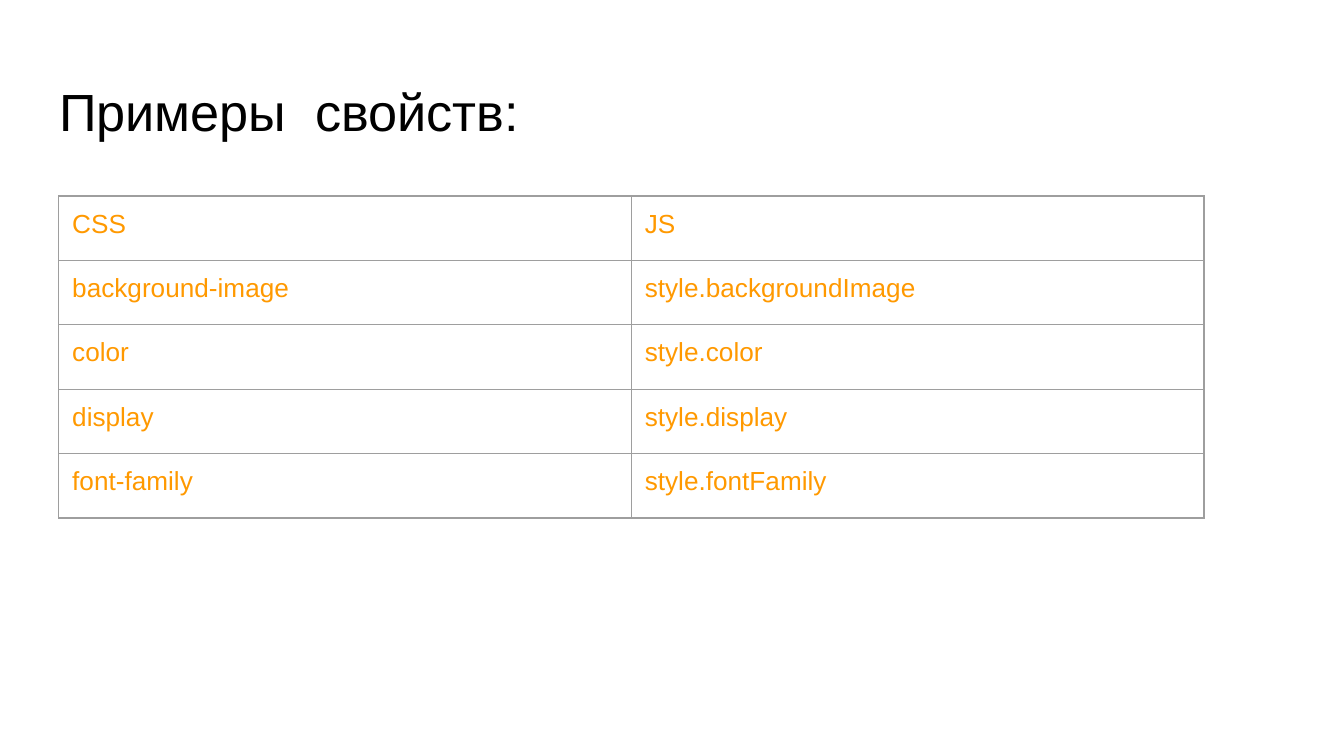
from dataclasses import dataclass

from lxml.etree import SubElement
from pptx import Presentation
from pptx.dml.color import RGBColor
from pptx.enum.text import MSO_ANCHOR, MSO_AUTO_SIZE, PP_ALIGN
from pptx.oxml.ns import qn
from pptx.util import Pt


@dataclass(frozen=True)
class Theme:
    font: str = "Arial"
    title_color: str = "000000"
    cell_color: str = "FF9900"
    border_color: str = "9E9E9E"
    title_size: float = 28
    cell_size: float = 14
    border_width: float = 0.75
    inset: float = 7.2


theme = Theme()


def format_text(paragraph, size, color):
    paragraph.alignment = PP_ALIGN.LEFT
    for run in paragraph.runs:
        run.font.name = theme.font
        run.font.size = Pt(size)
        run.font.color.rgb = RGBColor.from_string(color)


def add_borders(cell):
    properties = cell._tc.get_or_add_tcPr()
    for side in ("a:lnL", "a:lnR", "a:lnT", "a:lnB"):
        line = SubElement(properties, qn(side), w=str(Pt(theme.border_width)))
        fill = SubElement(line, qn("a:solidFill"))
        SubElement(fill, qn("a:srgbClr"), val=theme.border_color)


presentation = Presentation()
presentation.slide_width = Pt(720)
presentation.slide_height = Pt(405)
slide = presentation.slides.add_slide(presentation.slide_layouts[5])

# Title
title = slide.shapes.title
title.left, title.top, title.width, title.height = Pt(24.5), Pt(35), Pt(671), Pt(45)
title_frame = title.text_frame
title_frame.text = "Примеры  свойств:"
title_frame.word_wrap = True
title_frame.auto_size = MSO_AUTO_SIZE.NONE
title_frame.vertical_anchor = MSO_ANCHOR.TOP
title_frame.margin_left = title_frame.margin_right = Pt(theme.inset)
title_frame.margin_top = title_frame.margin_bottom = Pt(theme.inset)
format_text(title_frame.paragraphs[0], theme.title_size, theme.title_color)

# Table of CSS properties and their JS names
properties_table = [
    ("CSS", "JS"),
    ("background-image", "style.backgroundImage"),
    ("color", "style.color"),
    ("display", "style.display"),
    ("font-family", "style.fontFamily"),
]
column_width, row_height = 306.75, 34.5
table = slide.shapes.add_table(
    len(properties_table), 2, Pt(31.5), Pt(105),
    Pt(2 * column_width), Pt(len(properties_table) * row_height),
).table
table.first_row = False
table.horz_banding = False

for row_index, row_texts in enumerate(properties_table):
    for column_index, text in enumerate(row_texts):
        cell = table.cell(row_index, column_index)
        cell.text_frame.text = text
        cell.margin_left = cell.margin_right = Pt(theme.inset)
        cell.margin_top = cell.margin_bottom = Pt(theme.inset)
        cell.vertical_anchor = MSO_ANCHOR.TOP
        format_text(cell.text_frame.paragraphs[0], theme.cell_size, theme.cell_color)
        add_borders(cell)
        cell.fill.background()

presentation.save("out.pptx")
